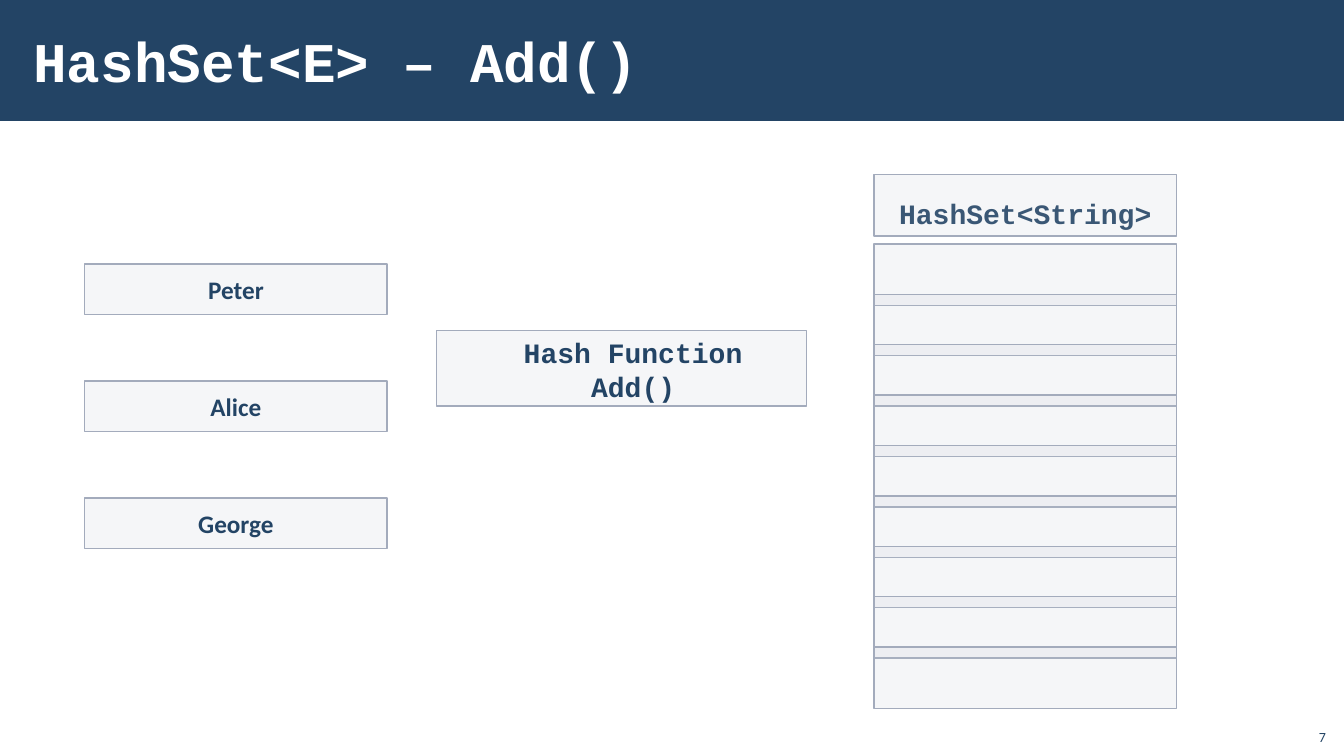
import lxml.etree
import pptx
import pptx.dml.color
import pptx.enum.shapes
import pptx.enum.text
import pptx.oxml.ns
import pptx.util

EMU_PER_PX = 9144
NAVY, WHITE, PALE, EDGE = "234465", "FFFFFF", "C2C7D2", "A3ABBC"
ALIGN = pptx.enum.text.PP_ALIGN
ANCHOR = pptx.enum.text.MSO_ANCHOR


def px(length):
    return pptx.util.Emu(length * EMU_PER_PX)


def colour(value):
    return pptx.dml.color.RGBColor.from_string(value)


def write(frame, text, size=20, font="Courier New", ink=NAVY, bold=True,
          align=ALIGN.CENTER, anchor=ANCHOR.TOP, insets=(10, 5)):
    frame.word_wrap = True
    frame.auto_size = pptx.enum.text.MSO_AUTO_SIZE.NONE
    frame.vertical_anchor = anchor
    frame.margin_left = frame.margin_right = px(insets[0])
    frame.margin_top = frame.margin_bottom = px(insets[1])
    frame.text = text
    for para in frame.paragraphs:
        para.alignment = align
        for span in para.runs:
            span.font.name = font
            span.font.size = pptx.util.Pt(size)
            span.font.bold = bold
            span.font.color.rgb = colour(ink)


def add_label(page, box, text, **style):
    label = page.shapes.add_textbox(*map(px, box))
    write(label.text_frame, text, **style)


def add_panel(page, box, fill=PALE, opacity=15, edge=EDGE):
    panel = page.shapes.add_shape(pptx.enum.shapes.MSO_SHAPE.RECTANGLE, *map(px, box))
    panel.shadow.inherit = False
    panel.fill.solid()
    panel.fill.fore_color.rgb = colour(fill)
    if opacity < 100:
        tint = panel.fill._xPr.find(".//" + pptx.oxml.ns.qn("a:srgbClr"))
        lxml.etree.SubElement(tint, pptx.oxml.ns.qn("a:alpha"), val=str(opacity * 1000))
    if edge:
        panel.line.color.rgb = colour(edge)
        panel.line.width = pptx.util.Pt(1)
    else:
        panel.line.fill.background()
    return panel


def add_heading(page, box, text):
    left, top, width, height = box
    band = add_panel(page, box, fill=NAVY, opacity=100, edge=None)
    title = page.shapes.title
    band._element.addnext(title._element)
    title.left, title.top = px(left + 21), px(top + 11)
    title.width, title.height = px(1063), px(height - 23)
    write(title.text_frame, text, size=40, ink=WHITE, align=ALIGN.LEFT,
          anchor=ANCHOR.MIDDLE, insets=(12, 4))


def add_hash_set(page, box, name, buckets):
    left, top, width, height = box
    bucket_height, step, first = 61, 50, 69
    add_label(page, (left, top + 17, width, 44), name)
    for index in range(buckets):
        add_panel(page, (left, top + first + index * step, width, bucket_height))
    add_panel(page, (left, top, width, height))


def add_hash_function(page, box, text):
    left, top, width, height = box
    add_panel(page, box)
    add_label(page, (left + 45, top, 300, height + 2), text)


def add_entries(page, box, names):
    left, top, width, height = box
    step = 116
    for index, name in enumerate(names):
        entry = add_panel(page, (left, top + index * step, width, height))
        write(entry.text_frame, name, size=18, font="Calibri",
              anchor=ANCHOR.MIDDLE, insets=(20, 10))


def main():
    deck = pptx.Presentation()
    deck.slide_width, deck.slide_height = px(1333), px(750)
    page = deck.slides.add_slide(deck.slide_layouts[5])
    add_heading(page, (0, 0, 1333, 120), "HashSet<E> – Add()")
    add_hash_set(page, (867, 173, 300, 61), "HashSet<String>", buckets=9)
    add_entries(page, (84, 262, 300, 50), ["Peter", "Alice", "George"])
    add_hash_function(page, (433, 328, 367, 75), "Hash Function\nAdd()")
    add_label(page, (1285, 712, 40, 32), "7", size=10, font="Calibri", bold=False,
              align=ALIGN.RIGHT, anchor=ANCHOR.BOTTOM)
    deck.save("out.pptx")


if __name__ == "__main__":
    main()
